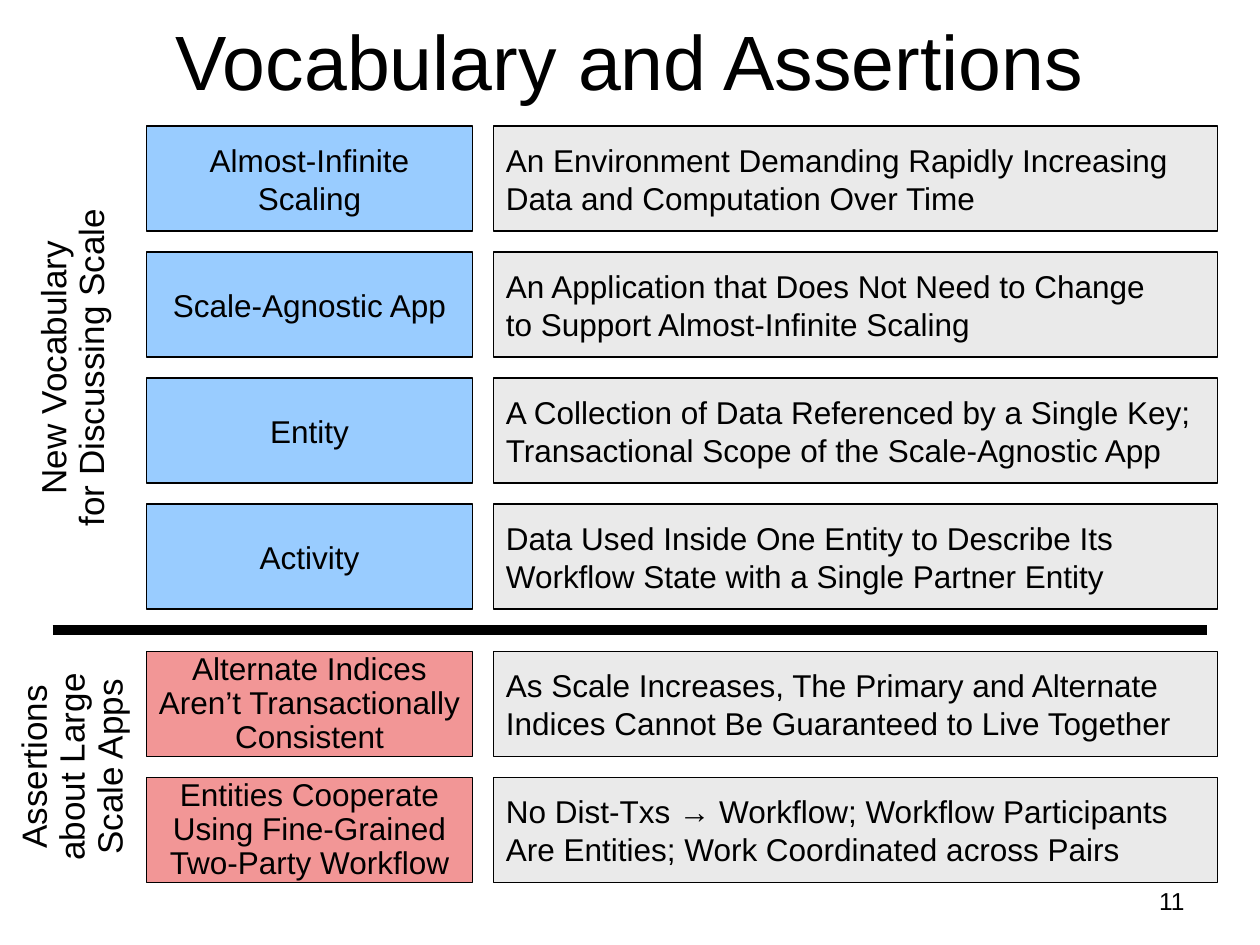
from dataclasses import dataclass

import lxml.etree
import pptx
import pptx.dml.color
import pptx.enum.shapes
import pptx.enum.text
import pptx.util
from pptx.util import Cm

ALIGN = pptx.enum.text.PP_ALIGN
ANCHOR = pptx.enum.text.MSO_ANCHOR
FONT = "Arial"
COLORS = {
    "ink": "000000",
    "vocabulary": "99CCFF",
    "assertion": "F29696",
    "meaning": "EAEAEA",
}
ROW_PITCH = 2.54
ROW_HEIGHT = 2.12
TERM_LEFT, TERM_WIDTH = 2.96, 6.56
MEANING_LEFT, MEANING_WIDTH = 9.95, 14.6


@dataclass
class Row:
    term: str
    meaning: str


@dataclass
class Section:
    label: str
    label_box: tuple[float, float, float, float]
    top: float
    color: str
    term_spacing: float
    rows: list[Row]


SECTIONS = [
    Section(
        "New Vocabulary\nfor Discussing Scale", (-3.38, 6.35, 9.74, 2.12),
        2.54, "vocabulary", 1.0,
        [
            Row("Almost-Infinite\nScaling",
                "An Environment Demanding Rapidly Increasing\nData and Computation Over Time"),
            Row("Scale-Agnostic App",
                "An Application that Does Not Need to Change\nto Support Almost-Infinite Scaling"),
            Row("Entity",
                "A Collection of Data Referenced by a Single Key;\nTransactional Scope of the Scale-Agnostic App"),
            Row("Activity",
                "Data Used Inside One Entity to Describe Its\nWorkflow State with a Single Partner Entity"),
        ],
    ),
    Section(
        "Assertions\nabout Large\nScale Apps", (-1.27, 14.4, 5.5, 2.12),
        13.13, "assertion", 0.9,
        [
            Row("Alternate Indices\nAren’t Transactionally\nConsistent",
                "As Scale Increases, The Primary and Alternate\nIndices Cannot Be Guaranteed to Live Together"),
            Row("Entities Cooperate\nUsing Fine-Grained\nTwo-Party Workflow",
                "No Dist-Txs → Workflow; Workflow Participants\nAre Entities; Work Coordinated across Pairs"),
        ],
    ),
]


def rgb(name: str) -> pptx.dml.color.RGBColor:
    return pptx.dml.color.RGBColor.from_string(COLORS[name])


def write(shape, text: str, size: int, align, spacing: float = 1.0,
          wrap: bool = False, anchor=ANCHOR.MIDDLE) -> None:
    frame = shape.text_frame
    frame.word_wrap = wrap
    frame.vertical_anchor = anchor
    paragraph = frame.paragraphs[0]
    paragraph.text = text.replace("\n", "\v")
    paragraph.alignment = align
    paragraph.line_spacing = spacing
    paragraph.font.size = pptx.util.Pt(size)
    paragraph.font.name = FONT
    paragraph.font.color.rgb = rgb("ink")


def add_title(slide, text: str) -> None:
    title = slide.shapes.title
    title.left, title.top, title.width, title.height = Cm(1.27), Cm(0), Cm(22.86), Cm(2.41)
    write(title, text, 44, ALIGN.CENTER, wrap=True)


def add_box(group, left: float, top: float, width: float, color: str,
            text: str, align, spacing: float = 1.0) -> None:
    box = group.shapes.add_shape(
        pptx.enum.shapes.MSO_SHAPE.RECTANGLE,
        Cm(left), Cm(top), Cm(width), Cm(ROW_HEIGHT))
    box.shadow.inherit = False
    box.fill.solid()
    box.fill.fore_color.rgb = rgb(color)
    box.line.color.rgb = rgb("ink")
    box.line.width = pptx.util.Pt(0.75)
    write(box, text, 18, align, spacing)


def add_section(slide, section: Section) -> None:
    label = slide.shapes.add_textbox(*map(Cm, section.label_box))
    label.rotation = 270
    write(label, section.label, 20, ALIGN.CENTER, 0.9)
    for index, row in enumerate(section.rows):
        top = section.top + index * ROW_PITCH
        group = slide.shapes.add_group_shape()
        add_box(group, TERM_LEFT, top, TERM_WIDTH, section.color,
                row.term, ALIGN.CENTER, section.term_spacing)
        add_box(group, MEANING_LEFT, top, MEANING_WIDTH, "meaning",
                row.meaning, ALIGN.LEFT)


def add_divider(slide) -> None:
    divider = slide.shapes.add_connector(
        pptx.enum.shapes.MSO_CONNECTOR.STRAIGHT,
        Cm(1.06), Cm(12.7), Cm(24.34), Cm(12.7))
    divider.line.color.rgb = rgb("ink")
    divider.line.width = pptx.util.Pt(6)
    lxml.etree.SubElement(
        divider._element.spPr,
        "{http://schemas.openxmlformats.org/drawingml/2006/main}effectLst")


def main() -> None:
    presentation = pptx.Presentation()
    presentation.slide_width, presentation.slide_height = Cm(25.4), Cm(19.05)
    slide = presentation.slides.add_slide(presentation.slide_layouts[5])
    add_title(slide, "Vocabulary and Assertions")
    for section in SECTIONS:
        add_section(slide, section)
    add_divider(slide)
    number = slide.shapes.add_textbox(Cm(18.2), Cm(17.73), Cm(5.93), Cm(1.32))
    write(number, "11", 14, ALIGN.RIGHT, wrap=True, anchor=ANCHOR.TOP)
    presentation.save("out.pptx")


if __name__ == "__main__":
    main()
